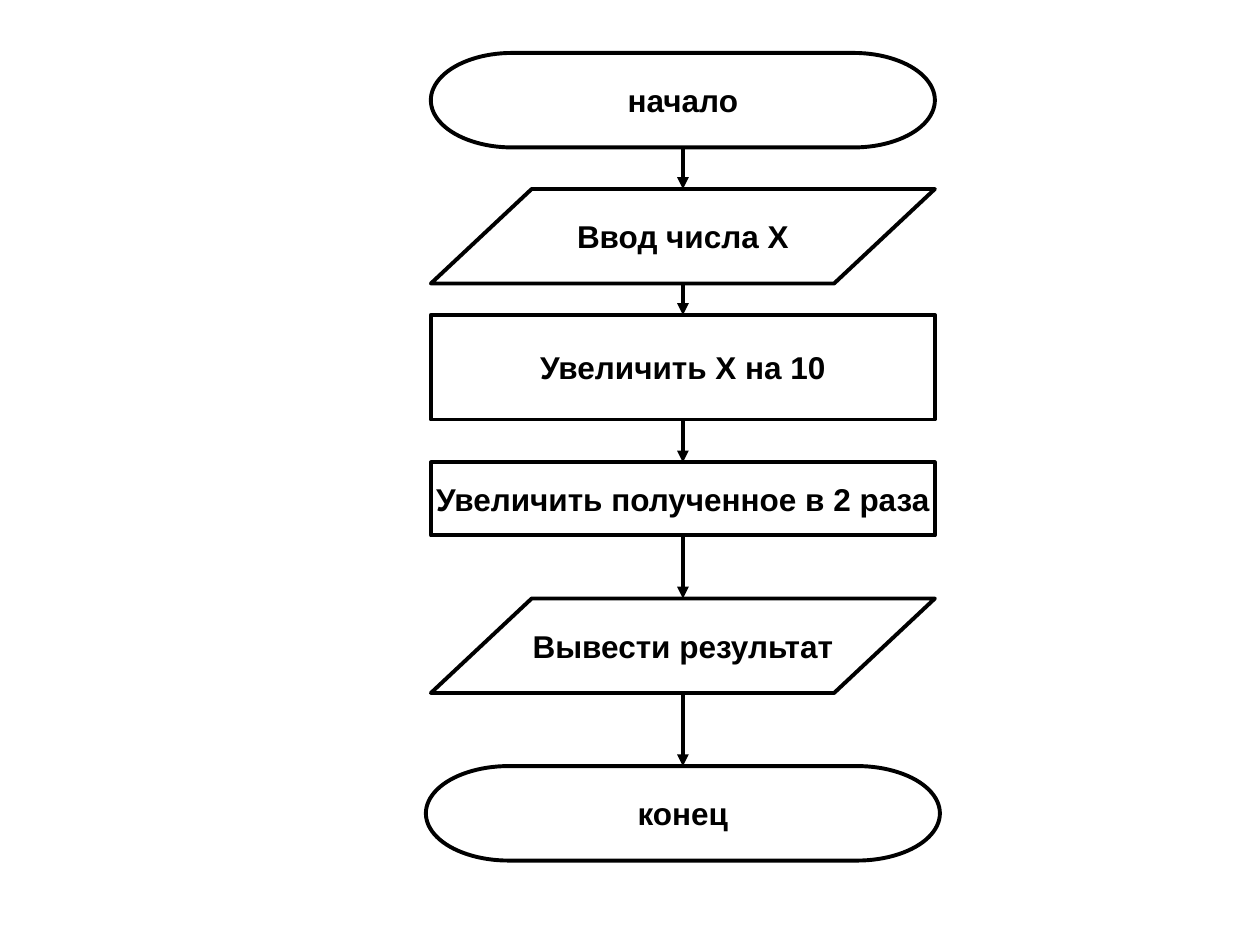
from itertools import pairwise
from lxml import etree
from pptx import Presentation
from pptx.dml.color import RGBColor
from pptx.enum.shapes import MSO_CONNECTOR, MSO_SHAPE
from pptx.enum.text import MSO_ANCHOR, PP_ALIGN
from pptx.oxml.ns import qn
from pptx.util import Inches, Pt

END = MSO_SHAPE.FLOWCHART_TERMINATOR
DATA = MSO_SHAPE.FLOWCHART_DATA
STEP = MSO_SHAPE.RECTANGLE
LINE = MSO_CONNECTOR.STRAIGHT
MID = MSO_ANCHOR.MIDDLE
CENTER = PP_ALIGN.CENTER
BLACK = RGBColor(0, 0, 0)

STEPS = [
    ("начало", END, 0.42, 4, 0.75),
    ("Ввод числа Х", DATA, 1.5, 4, 0.75),
    ("Увеличить Х на 10", STEP, 2.5, 4, 0.83),
    ("Увеличить полученное в 2 раза", STEP, 3.67, 4, 0.58),
    ("Вывести результат", DATA, 4.75, 4, 0.75),
    ("конец", END, 6.08, 4.08, 0.75),
]
AXIS = 5.42
WEIGHT = Pt(2.25)


def write(shape, text, size=18, bold=True, color=BLACK, font="Arial"):
    frame = shape.text_frame
    frame.word_wrap = False
    frame.vertical_anchor = MID
    para = frame.paragraphs[0]
    para.alignment = CENTER
    run = para.add_run()
    run.text = text
    run.font.name = font
    run.font.size = Pt(size)
    run.font.bold = bold
    run.font.color.rgb = color


def stroke(item):
    item.line.color.rgb = BLACK
    item.line.width = WEIGHT


def add_step(slide, text, kind, top, width, height):
    shape = slide.shapes.add_shape(
        kind, Inches(AXIS - width / 2), Inches(top), Inches(width), Inches(height))
    shape.shadow.inherit = False
    shape.fill.background()
    stroke(shape)
    write(shape, text)


def add_arrow(slide, start, stop):
    arrow = slide.shapes.add_connector(
        LINE, Inches(AXIS), Inches(start), Inches(AXIS), Inches(stop))
    stroke(arrow)
    props = arrow.line._get_or_add_ln()
    etree.SubElement(props, qn("a:tailEnd"), type="triangle")
    etree.SubElement(arrow._element.spPr, qn("a:effectLst"))


def main():
    deck = Presentation()
    deck.slide_width = Inches(10)
    deck.slide_height = Inches(7.5)
    slide = deck.slides.add_slide(deck.slide_layouts[6])
    for step in STEPS:
        add_step(slide, *step)
    for (_, _, top, _, height), (_, _, stop, _, _) in pairwise(STEPS):
        add_arrow(slide, top + height, stop)
    deck.save("out.pptx")


if __name__ == "__main__":
    main()
